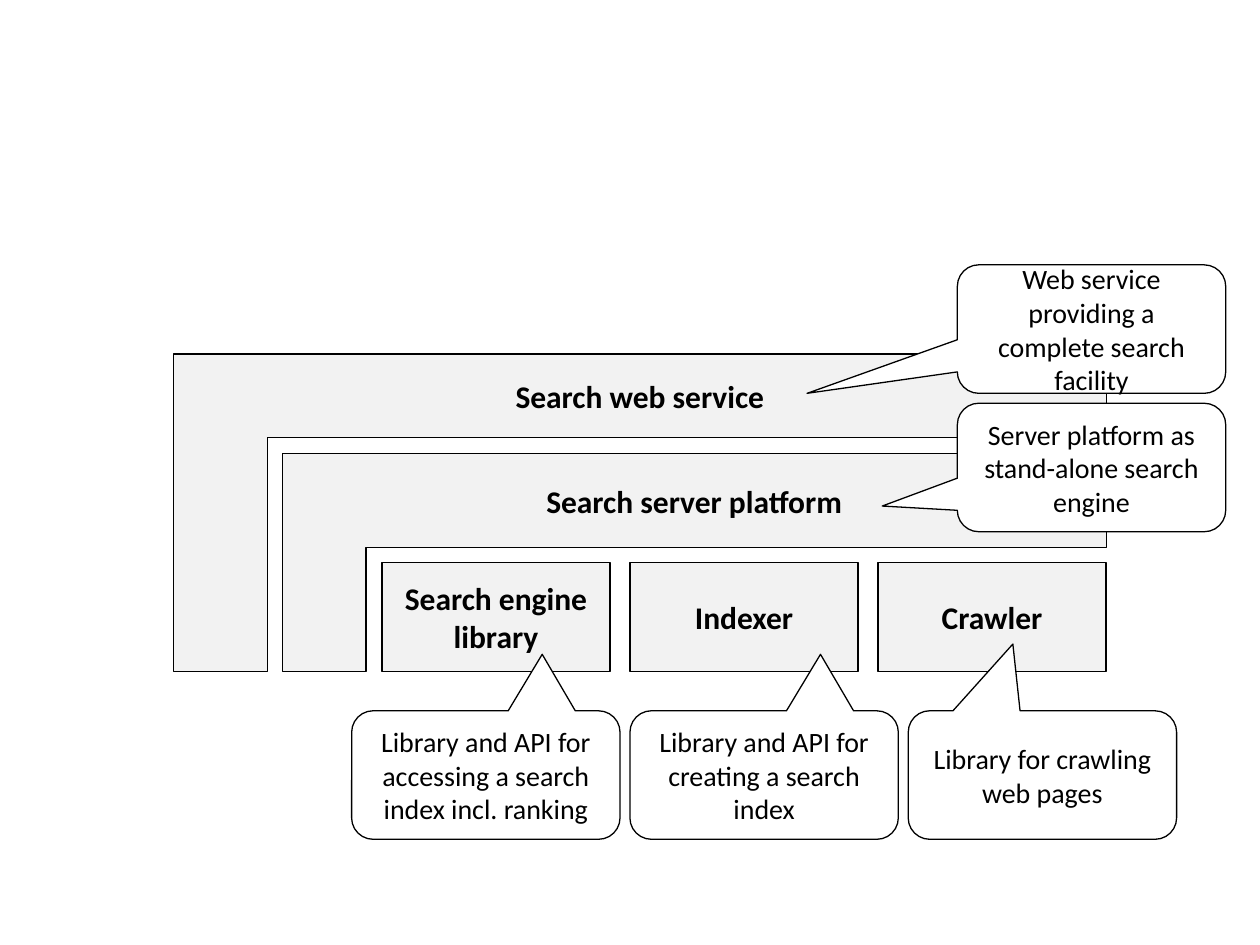
import pptx
import pptx.util
import pptx.dml.color
import pptx.enum.shapes
import pptx.enum.text

Cm, Pt = pptx.util.Cm, pptx.util.Pt
SHAPE = pptx.enum.shapes.MSO_SHAPE
L_SHAPE = SHAPE.from_xml("corner")

COLORS = {"block": "F2F2F2", "callout": "FFFFFF", "ink": "000000"}
FONT = "Calibri"

COMPONENTS = ["Search engine library", "Indexer", "Crawler"]
# text, width, height, thickness of the left and top arms (share of the height)
LAYERS = [
    ("Search web service", 18.8, 6.4, (0.296, 0.262)),
    ("Search server platform", 16.61, 4.39, (0.384, 0.43)),
]
# text, pointer tip relative to the callout's centre
BOTTOM_CALLOUTS = [
    ("Library and API for accessing a search index incl. ranking", (0.21, -0.94)),
    ("Library and API for creating a search index", (0.21, -0.94)),
    ("Library for crawling web pages", (-0.11, -1.02)),
]
SIDE_CALLOUTS = [
    ("Server platform as stand-alone search engine", (-0.78, 0.3)),
    ("Web service providing a complete search facility", (-1.06, 0.5)),
]

RIGHT, BOTTOM = 22.3, 13.54  # shared edges of layers and components
BOX_W, BOX_H, BOX_GAP = 4.6, 2.2, 0.4
CALL_W, CALL_H = 5.41, 2.59
CALL_LEFT, CALL_TOP, CALL_GAP = 7.09, 14.33, 0.2
SIDE_LEFT, SIDE_TOP, SIDE_GAP = 19.3, 8.13, 0.2


def add_block(kind, box, text, fill, size, bold=False, adjustments=()):
    s = slide.shapes.add_shape(kind, *map(Cm, box))
    s.shadow.inherit = False
    for i, value in enumerate(adjustments):
        s.adjustments[i] = value
    s.fill.solid()
    s.fill.fore_color.rgb = color(fill)
    s.line.color.rgb = color("ink")
    s.line.width = Pt(0.75)
    tf = s.text_frame
    tf.text = text
    tf.word_wrap = True
    tf.vertical_anchor = pptx.enum.text.MSO_ANCHOR.MIDDLE
    p = tf.paragraphs[0]
    p.alignment = pptx.enum.text.PP_ALIGN.CENTER
    font = p.runs[0].font
    font.name, font.size, font.bold = FONT, Pt(size), bold
    font.color.rgb = color("ink")
    return s


def color(name):
    return pptx.dml.color.RGBColor.from_string(COLORS[name])


def add_layer(text, width, height, arms):
    """Add an L-shape turned by 90 degrees, with its text kept upright."""
    left = RIGHT - width / 2 - height / 2
    top = BOTTOM - height / 2 - width / 2
    s = add_block(L_SHAPE, (left, top, height, width), text,
                  "block", 18, True, arms)
    s.rotation = 90
    s.text_frame._txBody.bodyPr.set("vert", "vert270")


def add_callout(left, top, text, tip):
    add_block(SHAPE.ROUNDED_RECTANGULAR_CALLOUT, (left, top, CALL_W, CALL_H),
              text, "callout", 16, adjustments=(*tip, 0.167))


prs = pptx.Presentation()
prs.slide_width, prs.slide_height = Cm(25.4), Cm(19.05)
slide = prs.slides.add_slide(prs.slide_layouts[6])

for i, text in enumerate(COMPONENTS):
    left = RIGHT - BOX_W - (len(COMPONENTS) - 1 - i) * (BOX_W + BOX_GAP)
    add_block(SHAPE.RECTANGLE, (left, BOTTOM - BOX_H, BOX_W, BOX_H),
              text, "block", 18, True)

for layer in LAYERS:
    add_layer(*layer)

for i, (text, tip) in enumerate(BOTTOM_CALLOUTS):
    add_callout(CALL_LEFT + i * (CALL_W + CALL_GAP), CALL_TOP, text, tip)

for i, (text, tip) in enumerate(SIDE_CALLOUTS):
    add_callout(SIDE_LEFT, SIDE_TOP - i * (CALL_H + SIDE_GAP), text, tip)

prs.save("out.pptx")
